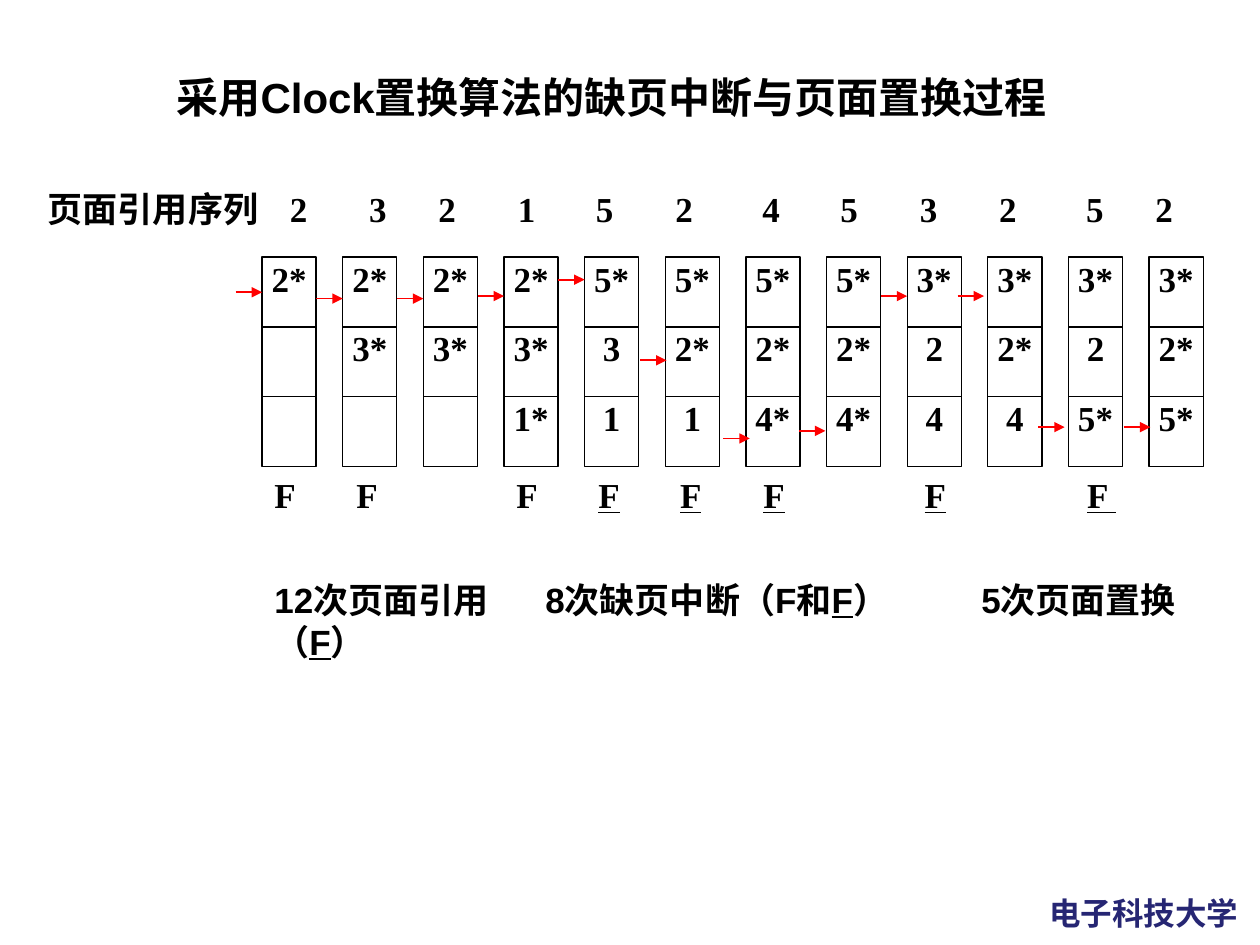
import pptx
import pptx.util
import pptx.dml.color
import pptx.enum.shapes
import pptx.enum.text
import pptx.oxml.ns
from lxml import etree

INK = {"text": "000000", "arrow": "FF0000", "school": "262673"}
SANS, SERIF = "Arial", "Times New Roman"
ALIGN = pptx.enum.text.PP_ALIGN
UNIT = 0.1
STEP, WIDE, HIGH = 6.4, 4.3, 5.55

PAGES = "2 3 2 1 5 2 4 5 3 2 5 2".split()
STOPS = [19.2, 25.5, 31, 37.3, 43.5, 49.8, 56.7, 62.9, 69.2, 75.5, 82.4, 87.9]
FRAMES = [
    ["2*", "", ""], ["2*", "3*", ""], ["2*", "3*", ""], ["2*", "3*", "1*"],
    ["5*", "3", "1"], ["5*", "2*", "1"], ["5*", "2*", "4*"], ["5*", "2*", "4*"],
    ["3*", "2", "4"], ["3*", "2*", "4"], ["3*", "2", "5*"], ["3*", "2*", "5*"],
]
FAULTS = [("F", False), ("F", False), ("F", False), ("F", True),
          ("F", True), ("F", True), ("F", True), ("F ", True)]
MARKS = [6.5, 19.2, 25.7, 32.2, 38.8, 51.6, 64.5]
HANDS = [(0, 2.8), (0, 3.3), (0, 3.3), (0, 3.1), (0, 1.8), (0.1, 8.2),
         (0.3, 14.4), (-0.1, 13.8), (0, 3.1), (-0.3, 3.1), (-0.3, 13.5), (0.1, 13.5)]


def grid(*cells):
    return [pptx.util.Inches(cell * UNIT) for cell in cells]


def tint(name):
    return pptx.dml.color.RGBColor.from_string(INK[name])


def write(par, runs, size=20, ink="text"):
    for text, face, under in runs:
        run = par.add_run()
        run.text = text
        font = run.font
        font.name, font.size, font.bold = face, pptx.util.Pt(size), True
        font.underline = under
        font.color.rgb = tint(ink)


def set_tabs(par, stops):
    tag = pptx.oxml.ns.qn
    tabs = etree.SubElement(par._p.get_or_add_pPr(), tag("a:tabLst"))
    for stop in grid(*stops):
        etree.SubElement(tabs, tag("a:tab"), pos=str(stop), algn="l")


def no_inset(frame):
    frame.margin_left = frame.margin_right = 0
    frame.margin_top = frame.margin_bottom = 0


def add_text(slide, box, runs, stops=(), flush=False):
    frame = slide.shapes.add_textbox(*grid(*box)).text_frame
    frame.word_wrap = True
    if flush:
        no_inset(frame)
    par = frame.paragraphs[0]
    par.alignment = ALIGN.LEFT
    if stops:
        set_tabs(par, stops)
    write(par, runs)


def add_title(slide, box):
    title = slide.shapes.title
    title.left, title.top, title.width, title.height = grid(*box)
    frame = title.text_frame
    frame.vertical_anchor = pptx.enum.text.MSO_ANCHOR.TOP
    par = frame.paragraphs[0]
    par.alignment = ALIGN.CENTER
    write(par, [("采用Clock置换算法的缺页中断与页面置换过程", SANS, False)], 24)


def add_frames(slide, box):
    left, top = box
    for col, pages in enumerate(FRAMES):
        for row, page in enumerate(pages):
            spot = grid(left + col * STEP, top + row * HIGH, WIDE, HIGH)
            cell = slide.shapes.add_shape(
                pptx.enum.shapes.MSO_SHAPE.RECTANGLE, *spot)
            cell.shadow.inherit = False
            cell.fill.background()
            cell.line.color.rgb = tint("text")
            cell.line.width = pptx.util.Pt(0.75)
            if page:
                frame = cell.text_frame
                no_inset(frame)
                frame.vertical_anchor = pptx.enum.text.MSO_ANCHOR.TOP
                par = frame.paragraphs[0]
                par.alignment = ALIGN.CENTER
                write(par, [(page, SERIF, False)])


def add_hands(slide, box):
    left, top = box
    tag = pptx.oxml.ns.qn
    for col, (nudge, drop) in enumerate(HANDS):
        tip = left + col * STEP + nudge
        ends = grid(tip - STEP + WIDE, top + drop, tip, top + drop)
        hand = slide.shapes.add_connector(
            pptx.enum.shapes.MSO_CONNECTOR.STRAIGHT, *ends)
        hand.line.color.rgb = tint("arrow")
        hand.line.width = pptx.util.Pt(1)
        etree.SubElement(hand.line._get_or_add_ln(), tag("a:tailEnd"), type="triangle")
        etree.SubElement(hand._element.spPr, tag("a:effectLst"))


def add_pages(slide, box):
    runs = [("页面引用序列", SANS, False)]
    runs += [("\t" + page, SERIF, False) for page in PAGES]
    add_text(slide, box, runs, STOPS, True)


def add_faults(slide, box):
    runs = []
    for text, under in FAULTS:
        if runs:
            runs.append(("\t", SERIF, False))
        runs.append((text, SERIF, under))
    add_text(slide, box, runs, MARKS)


def add_totals(slide, box):
    runs = [("12次页面引用\t8次缺页中断（F和", SANS, False), ("F", SANS, True),
            ("）\t5次页面置换（", SANS, False), ("F", SANS, True), ("）", SANS, False)]
    add_text(slide, box, runs, [21.5, 56.1])


def add_school(slide, box):
    frame = slide.shapes.add_textbox(*grid(*box)).text_frame
    frame.word_wrap = False
    write(frame.paragraphs[0], [("电子科技大学", SANS, False)], 18, "school")


def main():
    deck = pptx.Presentation()
    deck.slide_width, deck.slide_height = grid(100, 75)
    slide = deck.slides.add_slide(deck.slide_layouts[5])
    add_school(slide, (82.3, 70.5, 17.3, 4))
    add_frames(slide, (20.8, 20.4))
    add_pages(slide, (3.8, 14.9, 91.7, 5.5))
    add_faults(slide, (20.8, 37.1, 74.6, 8.3))
    add_totals(slide, (20.8, 45.4, 74.6, 8.3))
    add_title(slide, (5.9, 5.2, 85.3, 8.3))
    add_hands(slide, (20.8, 20.4))
    deck.save("out.pptx")


if __name__ == "__main__":
    main()
